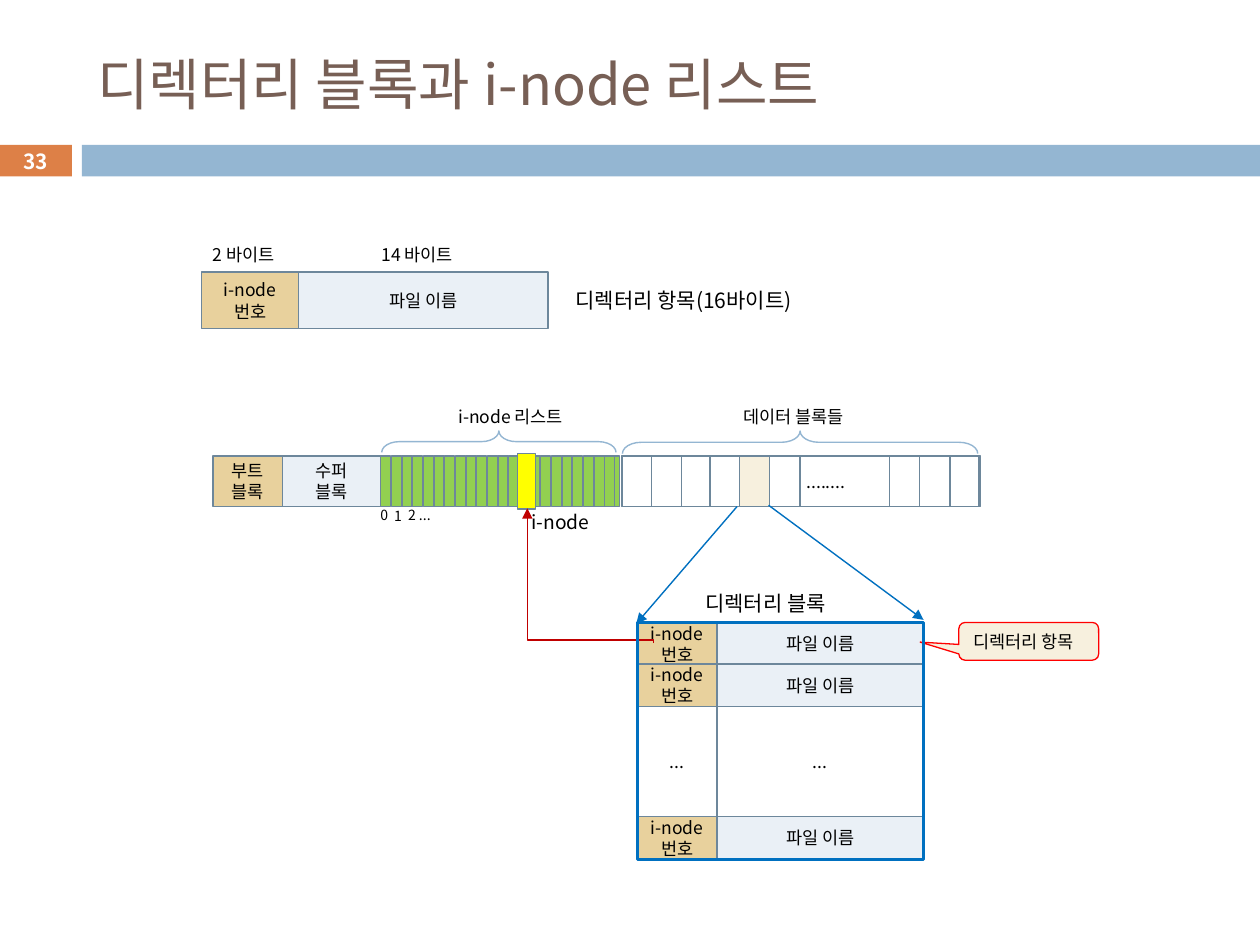
from lxml import etree
from pptx import Presentation
from pptx.dml.color import RGBColor
from pptx.enum.shapes import MSO_CONNECTOR, MSO_SHAPE
from pptx.enum.text import MSO_ANCHOR, PP_ALIGN
from pptx.oxml.ns import qn
from pptx.util import Inches, Pt

RECT, BRACE = MSO_SHAPE.RECTANGLE, MSO_SHAPE.RIGHT_BRACE
CALLOUT = MSO_SHAPE.ROUNDED_RECTANGULAR_CALLOUT
STRAIGHT, ELBOW = MSO_CONNECTOR.STRAIGHT, MSO_CONNECTOR.ELBOW
LEFT, CENTER = PP_ALIGN.LEFT, PP_ALIGN.CENTER
TOP, MIDDLE = MSO_ANCHOR.TOP, MSO_ANCHOR.MIDDLE

BLACK = RGBColor(0x00, 0x00, 0x00)
WHITE = RGBColor(0xFF, 0xFF, 0xFF)
BROWN = RGBColor(0x77, 0x5F, 0x55)
ORANGE = RGBColor(0xDD, 0x80, 0x47)
SKY = RGBColor(0x94, 0xB6, 0xD2)
STEEL = RGBColor(0x6D, 0x87, 0x9B)
TAN = RGBColor(0xE8, 0xD1, 0x9D)
PALE = RGBColor(0xEA, 0xF0, 0xF6)
CREAM = RGBColor(0xF7, 0xF0, 0xDE)
GREEN = RGBColor(0x92, 0xD0, 0x50)
YELLOW = RGBColor(0xFF, 0xFF, 0x00)
RED = RGBColor(0xFF, 0x00, 0x00)
DARK_RED = RGBColor(0xC0, 0x00, 0x00)
BLUE = RGBColor(0x00, 0x70, 0xC0)


class Deck:
    font = "Noto Sans CJK KR"

    def __init__(self, prs):
        self.s = prs.slides.add_slide(prs.slide_layouts[5])

    def set_text(self, tf, text, size=10, color=BLACK, align=CENTER,
                 anchor=MIDDLE, bold=False, inset=0.0, wrap=True):
        tf.text = text
        tf.word_wrap = wrap
        tf.vertical_anchor = anchor
        tf.margin_left = tf.margin_right = Inches(inset)
        for p in tf.paragraphs:
            p.alignment = align
            p.font.size, p.font.bold = Pt(size), bold
            p.font.color.rgb = color
            p.font.name = self.font
            ea = etree.SubElement(p._p.pPr.find(qn("a:defRPr")), qn("a:ea"))
            ea.set("typeface", self.font)

    def title(self, x, y, w, h, text):
        sp = self.s.shapes.title
        sp.left, sp.top, sp.width, sp.height = map(Inches, (x, y, w, h))
        self.set_text(sp.text_frame, text, 32, BROWN, LEFT, inset=0.1)

    def shape(self, x, y, w, h, fill=None, line=STEEL, text=None,
              width=0.75, kind=RECT, **style):
        sp = self.s.shapes.add_shape(kind, *map(Inches, (x, y, w, h)))
        sp.shadow.inherit = False
        if fill is None:
            sp.fill.background()
        else:
            sp.fill.solid()
            sp.fill.fore_color.rgb = fill
        if line is None:
            sp.line.fill.background()
        else:
            sp.line.color.rgb = line
            sp.line.width = Pt(width)
        if text:
            self.set_text(sp.text_frame, text, **style)
        return sp

    def label(self, x, y, w, h, text, size=10):
        tb = self.s.shapes.add_textbox(*map(Inches, (x, y, w, h)))
        self.set_text(tb.text_frame, text, size, align=LEFT, anchor=TOP,
                      inset=0.1, wrap=False)

    def brace(self, x, y, w, h):
        """Brace over a span, its point facing up."""
        sp = self.shape(x + (w - h) / 2, y + (h - w) / 2, h, w,
                        line=SKY, width=0.79, kind=BRACE)
        sp.adjustments[0] = 0.822
        sp.rotation = 90
        sp._element.spPr.xfrm.set("flipH", "1")

    def arrow(self, x1, y1, x2, y2, color, kind=STRAIGHT):
        c = self.s.shapes.add_connector(kind, *map(Inches, (x1, y1, x2, y2)))
        c.line.color.rgb = color
        c.line.width = Pt(0.79)
        spPr = c._element.spPr
        etree.SubElement(spPr.find(qn("a:ln")), qn("a:tailEnd")).set("type", "triangle")
        etree.SubElement(spPr, qn("a:effectLst"))
        return c

    def entry(self, x, y, w_number, w_name, h):
        """Directory entry: i-node number and file name."""
        self.shape(x, y, w_number, h, TAN, text="i-node\n번호")
        self.shape(x + w_number, y, w_name, h, PALE, text="파일 이름")


def main():
    prs = Presentation()
    prs.slide_width, prs.slide_height = Inches(10), Inches(7.5)
    d = Deck(prs)

    # Header
    d.shape(-0.01, 1.15, 0.58, 0.25, ORANGE, None, "33", size=11.9,
            color=WHITE, bold=True)
    d.shape(0.65, 1.15, 9.35, 0.25, SKY, None)
    d.title(0.67, 0.25, 8.92, 0.82, "디렉터리 블록과 i-node 리스트")

    # Single directory entry
    d.entry(1.6, 2.16, 0.77, 1.98, 0.45)
    d.label(1.59, 1.89, 0.75, 0.27, "2 바이트")
    d.label(2.93, 1.89, 0.83, 0.27, "14 바이트")
    d.label(4.47, 2.23, 2.06, 0.3, "디렉터리 항목(16바이트)", 12)

    # Disk strip: boot block, super block, data blocks
    top, height, block = 3.62, 0.4, 0.24
    d.shape(1.69, top, 0.55, height, TAN, text="부트\n블록")
    d.shape(2.24, top, 0.78, height, PALE, text="수퍼\n블록")
    strip = d.shape(4.94, top, 2.83, height, text="........")
    strip.text_frame.margin_left = Inches(0.4)
    d.shape(4.93, top, 0.71, height)
    for x in (5.17, 5.63, 5.87, 6.11, 7.06, 7.3, 7.54):
        d.shape(x, top, block, height, CREAM if x == 5.87 else None)

    # i-node list with the chosen i-node
    chosen = 13
    d.shape(4.68, top, block, height, GREEN)
    for i in range(22):
        if i != chosen:
            d.shape(3.02 + i * 1.78 / 21, top, 0.08, height, GREEN)
    d.shape(4.11, 3.6, 0.14, 0.44, YELLOW)

    # Braces and labels of the strip
    d.brace(3.03, 3.42, 1.86, 0.17)
    d.brace(4.94, 3.42, 2.82, 0.18)
    for x, y, w, h, text, size in (
            (3.54, 3.17, 1.09, 0.27, "i-node 리스트", 10),
            (5.8, 3.17, 1.09, 0.27, "데이터 블록들", 10),
            (4.12, 4, 0.66, 0.29, "i-node", 11),
            (2.92, 3.97, 0.26, 0.24, "0", 8),
            (3.03, 3.98, 0.26, 0.24, "1", 8),
            (3.14, 3.97, 0.38, 0.24, "2 ...", 8)):
        d.label(x, y, w, h, text, size)

    # Directory block
    d.label(5.5, 4.64, 1.27, 0.3, "디렉터리 블록", 12)
    for y in (4.94, 5.27, 6.48):
        d.entry(5.06, y, 0.63, 1.64, 0.34)
    for x, w in ((5.06, 0.63), (5.69, 1.64)):
        d.shape(x, 5.61, w, 0.87, text="...")
    callout = d.shape(7.61, 4.94, 1.11, 0.3, CREAM, RED, "디렉터리 항목",
                      kind=CALLOUT, align=LEFT, inset=0.1, wrap=False)
    for i, value in enumerate((-0.777, 0.021, 0.167)):
        callout.adjustments[i] = value

    # Arrows: entry to i-node, data block to directory block
    bent = d.arrow(4.15, 5.07, 5.22, 4.07, DARK_RED, ELBOW)
    spPr = bent._element.spPr
    spPr.xfrm.set("rot", "16200000")
    geometry = spPr.find(qn("a:prstGeom"))
    guides = geometry.find(qn("a:avLst"))
    if guides is None:
        guides = etree.SubElement(geometry, qn("a:avLst"))
    guide = etree.SubElement(guides, qn("a:gd"))
    guide.set("name", "adj1")
    guide.set("fmla", "val 2500")
    d.arrow(5.85, 4.02, 5.05, 4.95, BLUE)
    d.arrow(6.1, 4.01, 7.33, 4.92, BLUE)
    d.shape(5.06, 4.94, 2.27, 1.88, line=BLUE, width=1.5)

    prs.save("out.pptx")


if __name__ == "__main__":
    main()
